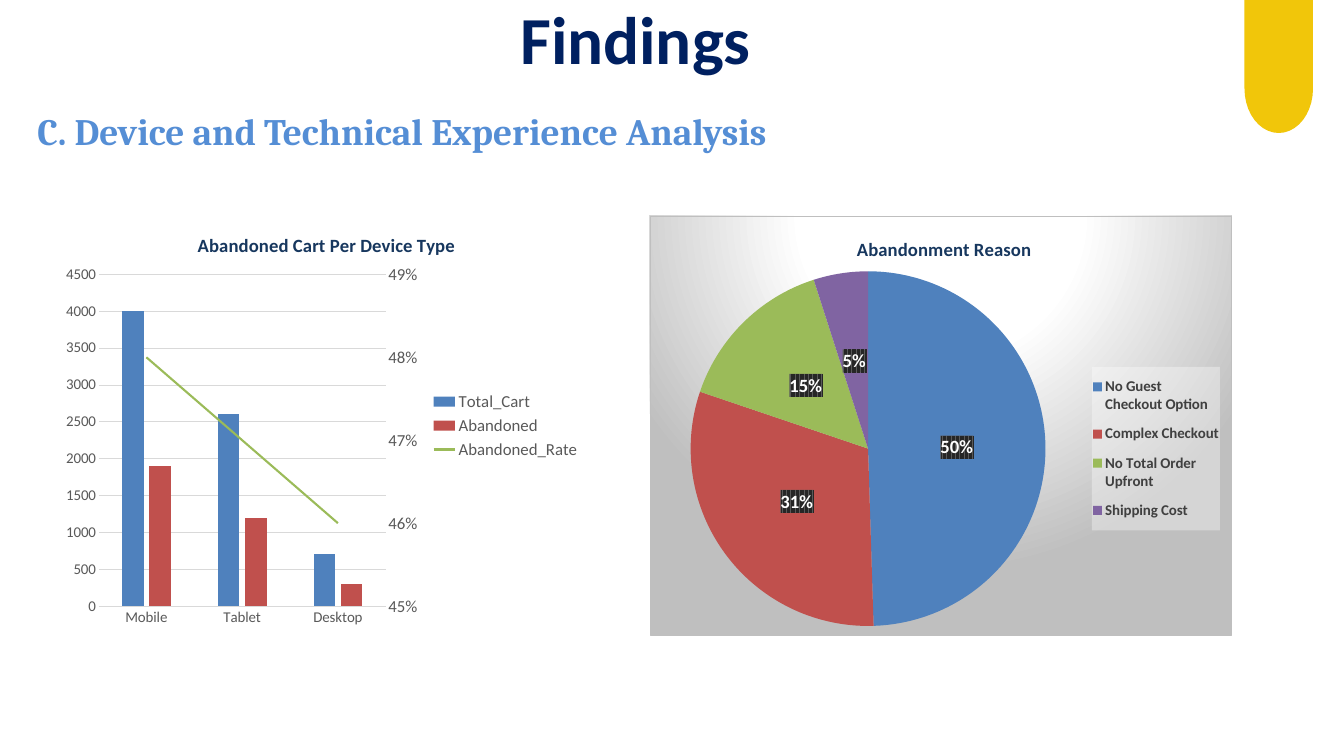
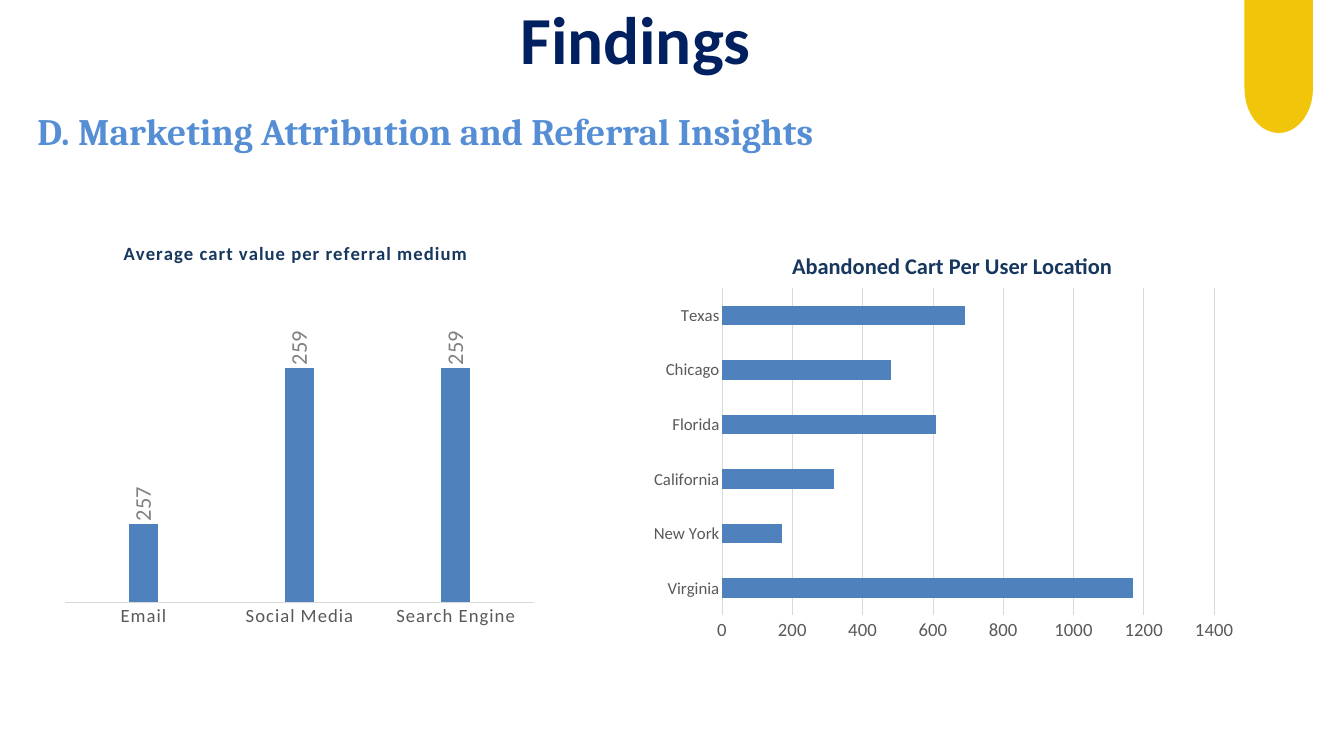
"""Build two findings slides on abandoned carts, each with a pair of charts."""
import math
from dataclasses import dataclass
from typing import Optional

from pptx import Presentation, oxml
from pptx.chart import data
from pptx.dml.color import RGBColor
from pptx.enum import chart as kinds, text
from pptx.oxml import ns
from pptx.util import Pt


@dataclass(frozen=True)
class Theme:
    """Colours, fonts and type sizes."""
    heading: str = "002060"
    section: str = "558ED5"
    tab: str = "F1C60A"
    chart_title: str = "17375E"
    axis_text: str = "595959"
    rule: str = "D9D9D9"
    value_label: str = "808080"
    legend_dark: str = "404040"
    white: str = "FFFFFF"
    panel: str = "BFBFBF"
    label_dark: str = "262626"
    series: tuple = ("4F81BD", "C0504D", "9BBB59", "8064A2")
    body_font: str = "Calibri"
    section_font: str = "Cambria"
    heading_size: int = 72
    section_size: int = 40
    chart_base: int = 10
    tiny: int = 16
    small: int = 18
    medium: int = 20
    large: int = 24


THEME = Theme()


@dataclass(frozen=True)
class Scale:
    """Limits and step of a value axis."""
    low: float
    high: float
    step: float


@dataclass(frozen=True)
class ChartSpec:
    """One chart: place in points, inner layouts as fractions, and values."""
    kind: kinds.XL_CHART_TYPE
    box: tuple
    title: str
    title_at: tuple
    plot_at: tuple
    categories: tuple
    series: dict
    title_size: int = THEME.medium
    category_size: int = THEME.tiny
    value_size: int = THEME.tiny
    scale: Optional[Scale] = None
    gap: int = 150
    overlap: int = 0


DEVICES = ChartSpec(
    kinds.XL_CHART_TYPE.COLUMN_CLUSTERED, (60, 231, 570, 450),
    "Abandoned Cart Per Device Type", (0.26, 0.03), (0.08, 0.14, 0.54, 0.79),
    ("Mobile", "Tablet", "Desktop"),
    {"Total_Cart": (4000, 2600, 700), "Abandoned": (1900, 1200, 300),
     "Abandoned_Rate": (0.48, 0.47, 0.46)},
    scale=Scale(0, 4500, 500), gap=219, overlap=-27)
REASONS = ChartSpec(
    kinds.XL_CHART_TYPE.PIE, (696, 231, 624, 450),
    "Abandonment Reason", (0.35, 0.04), (0.07, 0.13, 0.61, 0.85),
    ("No Guest Checkout Option", "Complex Checkout", "No Total Order Upfront", "Shipping Cost"),
    {"Series 1": (50, 31, 15, 5)})
REFERRALS = ChartSpec(
    kinds.XL_CHART_TYPE.COLUMN_CLUSTERED, (54, 231, 534, 450),
    "Average cart value per referral medium", (0.14, 0.05), (0.03, 0.27, 0.94, 0.65),
    ("Email", "Social Media", "Search Engine"), {"Series 1": (257, 259, 259)},
    category_size=THEME.medium, scale=Scale(256, 259.5, 1), gap=444, overlap=-90)
LOCATIONS = ChartSpec(
    kinds.XL_CHART_TYPE.BAR_CLUSTERED, (690, 251, 643, 444),
    "Abandoned Cart Per User Location", (0.24, 0.03), (0.13, 0.13, 0.82, 0.79),
    ("Virginia", "New York", "California", "Florida", "Chicago", "Texas"),
    {"Series 1": (1170, 170, 320, 610, 480, 690)},
    title_size=THEME.large, category_size=THEME.small, value_size=THEME.medium,
    scale=Scale(0, 1400, 200), gap=182)


def colour(code: str) -> RGBColor:
    """Turn a hex code into a colour."""
    return RGBColor.from_string(code)


def style_font(font, size: float, code: str, bold: bool = False,
               name: str = THEME.body_font) -> None:
    """Set size, colour, weight and face of a font."""
    font.size, font.bold, font.name = Pt(size), bold, name
    font.color.rgb = colour(code)


def element(markup: str):
    """Parse chart markup whose root lacks namespace declarations."""
    end = min(markup.index(mark) for mark in (">", " ", "/") if mark in markup)
    return oxml.parse_xml(f"{markup[:end]} {ns.nsdecls('c', 'a')}{markup[end:]}")


def set_layout(parent, index: int, place: tuple, inner: bool = False) -> None:
    """Place a chart part by fractions of the chart area."""
    for old in parent.findall(ns.qn("c:layout")):
        parent.remove(old)
    target = '<c:layoutTarget val="inner"/>' if inner else ""
    modes = "".join(f'<c:{axis}Mode val="edge"/>' for axis in "xy")
    sizes = "".join(f'<c:{key} val="{value}"/>' for key, value in zip("xywh", place))
    parent.insert(index, element(
        f"<c:layout><c:manualLayout>{target}{modes}{sizes}</c:manualLayout></c:layout>"))


def style_axes(chart, spec: ChartSpec) -> None:
    """Format the category and value axes."""
    for axis, size in ((chart.category_axis, spec.category_size),
                       (chart.value_axis, spec.value_size)):
        style_font(axis.tick_labels.font, size, THEME.axis_text)
        axis.major_tick_mark = axis.minor_tick_mark = kinds.XL_TICK_MARK.NONE
    value_axis = chart.value_axis
    value_axis.minimum_scale, value_axis.maximum_scale = spec.scale.low, spec.scale.high
    value_axis.major_unit = spec.scale.step
    value_axis.format.line.fill.background()
    value_axis.has_major_gridlines = True
    for line in (chart.category_axis.format.line, value_axis.major_gridlines.format.line):
        line.color.rgb = colour(THEME.rule)
        line.width = Pt(0.75)


def add_chart(slide, spec: ChartSpec):
    """Add a chart with its title, layout, axes and series colours."""
    values = data.CategoryChartData()
    values.categories = spec.categories
    for name, numbers in spec.series.items():
        rate = any(isinstance(number, float) for number in numbers)
        values.add_series(name, numbers, "0%" if rate else "General")
    chart = slide.shapes.add_chart(spec.kind, *map(Pt, spec.box), values).chart
    style_font(chart.font, THEME.chart_base, "000000")
    chart.has_legend = False
    chart.has_title = True
    run = chart.chart_title.text_frame.paragraphs[0].add_run()
    run.text = spec.title
    style_font(run.font, spec.title_size, THEME.chart_title, True)
    set_layout(chart.element.xpath("c:chart/c:title")[0], 1, spec.title_at)
    set_layout(chart.element.xpath("c:chart/c:plotArea")[0], 0, spec.plot_at, True)
    plot = chart.plots[0]
    plot.vary_by_categories = spec.kind == kinds.XL_CHART_TYPE.PIE
    if plot.vary_by_categories:
        parts = [plot.series[0].points[index] for index in range(len(spec.categories))]
    else:
        parts = plot.series
        plot.gap_width, plot.overlap = spec.gap, spec.overlap
        style_axes(chart, spec)
    for part, code in zip(parts, THEME.series):
        part.format.fill.solid()
        part.format.fill.fore_color.rgb = colour(code)
    return chart


def add_legend(chart, size: int, code: str, place: tuple, bold: bool = False):
    """Add a legend on the right and return its element."""
    chart.has_legend = True
    chart.legend.position = kinds.XL_LEGEND_POSITION.RIGHT
    chart.legend.include_in_layout = False
    style_font(chart.legend.font, size, code, bold)
    legend = chart.element.xpath("c:chart/c:legend")[0]
    set_layout(legend, 1, place)
    return legend


def move_rate_to_line(chart) -> None:
    """Draw the last column series as a line on a right percent axis."""
    columns = chart.element.xpath(".//c:barChart")[0]
    rate = columns.findall(ns.qn("c:ser"))[-1]
    for tag in ("c:invertIfNegative", "c:spPr"):
        for child in rate.findall(ns.qn(tag)):
            rate.remove(child)
    line_chart = element(
        '<c:lineChart><c:grouping val="standard"/><c:varyColors val="0"/>'
        '<c:marker val="1"/><c:axId val="501"/><c:axId val="502"/></c:lineChart>')
    line_chart.insert(2, rate)
    columns.addnext(line_chart)
    axes = (
        '<c:catAx><c:axId val="501"/><c:scaling><c:orientation val="minMax"/></c:scaling>'
        '<c:delete val="1"/><c:axPos val="b"/><c:crossAx val="502"/></c:catAx>',
        '<c:valAx><c:axId val="502"/><c:scaling><c:orientation val="minMax"/>'
        '<c:max val="0.49"/><c:min val="0.45"/></c:scaling><c:delete val="0"/>'
        '<c:axPos val="r"/><c:numFmt formatCode="0%" sourceLinked="0"/>'
        '<c:majorTickMark val="none"/><c:minorTickMark val="none"/>'
        '<c:tickLblPos val="nextTo"/><c:spPr><a:ln><a:noFill/></a:ln></c:spPr>'
        f'<c:txPr><a:bodyPr/><a:p><a:pPr><a:defRPr sz="{THEME.small * 100}"><a:solidFill>'
        f'<a:srgbClr val="{THEME.axis_text}"/></a:solidFill>'
        f'<a:latin typeface="{THEME.body_font}"/></a:defRPr></a:pPr></a:p></c:txPr>'
        '<c:crossAx val="501"/><c:crosses val="max"/><c:majorUnit val="0.01"/></c:valAx>')
    last_axis = chart.element.xpath(".//c:valAx")[-1]
    for markup in reversed(axes):
        last_axis.addnext(element(markup))
    series = chart.plots[1].series[0]
    series.smooth = False
    series.marker.style = kinds.XL_MARKER_STYLE.NONE
    series.format.line.color.rgb = colour(THEME.series[2])
    series.format.line.width = Pt(2.25)


def add_labels(holder, size: int, code: str, position, bold: bool = False):
    """Switch on data labels and return their object."""
    labels = holder.data_labels
    style_font(labels.font, size, code, bold)
    labels.position = position
    return labels


def draw_devices(slide) -> None:
    """Draw carts per device with the abandonment rate."""
    chart = add_chart(slide, DEVICES)
    move_rate_to_line(chart)
    add_legend(chart, THEME.small, THEME.axis_text, (0.7, 0.41, 0.29, 0.18))


def draw_reasons(slide) -> None:
    """Draw the pie of abandonment reasons on a shaded panel."""
    chart = add_chart(slide, REASONS)
    labels = add_labels(chart.plots[0].series[0], THEME.medium, THEME.white,
                        kinds.XL_LABEL_POSITION.CENTER, True)
    labels.show_percentage, labels.show_value = True, False
    labels.number_format, labels.number_format_is_linked = "0%", False
    chart.element.xpath(".//c:dLbls/c:txPr")[0].addprevious(element(
        '<c:spPr><a:pattFill prst="narVert">'
        f'<a:fgClr><a:srgbClr val="{THEME.label_dark}"/></a:fgClr>'
        f'<a:bgClr><a:srgbClr val="{THEME.axis_text}"/></a:bgClr></a:pattFill></c:spPr>'))
    legend = add_legend(chart, THEME.tiny, THEME.legend_dark, (0.76, 0.36, 0.22, 0.39), True)
    legend.find(ns.qn("c:overlay")).addnext(element(
        f'<c:spPr><a:solidFill><a:srgbClr val="{THEME.white}"><a:alpha val="35000"/>'
        '</a:srgbClr></a:solidFill></c:spPr>'))
    stops = "".join(
        f'<a:gs pos="{place * 1000}"><a:srgbClr val="{code}"/></a:gs>'
        for place, code in ((0, THEME.white), (39, THEME.white), (100, THEME.panel)))
    chart.element.find(ns.qn("c:chart")).addnext(element(
        f'<c:spPr><a:gradFill><a:gsLst>{stops}</a:gsLst><a:path path="circle">'
        '<a:fillToRect l="50000" t="-80000" r="50000" b="180000"/></a:path></a:gradFill>'
        f'<a:ln w="{Pt(0.75)}"><a:solidFill><a:srgbClr val="{THEME.panel}"/></a:solidFill>'
        '</a:ln></c:spPr>'))


def draw_referrals(slide) -> None:
    """Draw cart value per referral medium with upright labels."""
    chart = add_chart(slide, REFERRALS)
    chart.value_axis.visible = chart.value_axis.has_major_gridlines = False
    labels = add_labels(chart.plots[0].series[0], THEME.large, THEME.value_label,
                        kinds.XL_LABEL_POSITION.OUTSIDE_END)
    labels.show_value = True
    body = chart.element.xpath(".//c:dLbls/c:txPr/a:bodyPr")[0]
    body.set("rot", "-5400000")
    body.set("vert", "horz")
    for properties in chart.element.xpath(".//c:title//a:rPr | .//c:catAx//a:defRPr"):
        properties.set("spc", "100")


def draw_locations(slide) -> None:
    """Draw abandoned carts per user location."""
    add_chart(slide, LOCATIONS)


def add_tab(slide) -> None:
    """Draw the yellow tab with its rounded lower end."""
    left, width, straight, curve, steps = 1333.4, 73.4, 95, 47.5, 20
    radius = width / 2
    angles = [math.pi * step / steps for step in range(steps + 1)]
    points = [(Pt(left + radius + radius * math.cos(angle)),
               Pt(straight + curve * math.sin(angle))) for angle in angles]
    builder = slide.shapes.build_freeform(Pt(left), 0)
    builder.add_line_segments([(Pt(left + width), 0), *points], close=True)
    shape = builder.convert_to_shape()
    shape.shadow.inherit = False
    shape.fill.solid()
    shape.fill.fore_color.rgb = colour(THEME.tab)
    shape.line.fill.background()


def write(shape, box: tuple, words: str, size: int, code: str, name: str):
    """Place a text shape, fill it with one bold run and return its paragraph."""
    shape.left, shape.top, shape.width, shape.height = map(Pt, box)
    frame = shape.text_frame
    frame.word_wrap = True
    frame.auto_size = text.MSO_AUTO_SIZE.SHAPE_TO_FIT_TEXT
    frame.vertical_anchor = text.MSO_ANCHOR.TOP
    paragraph = frame.paragraphs[0]
    run = paragraph.add_run()
    run.text = words
    style_font(run.font, size, code, True, name)
    return paragraph


def add_findings_slide(presentation, section: str, *drawings) -> None:
    """Add a slide with tab, title, section line and charts."""
    slide = presentation.slides.add_slide(presentation.slide_layouts[5])
    add_tab(slide)
    heading = write(slide.shapes.title, (372, -6.5, 618, 94), "Findings",
                    THEME.heading_size, THEME.heading, THEME.body_font)
    heading.alignment = text.PP_ALIGN.CENTER
    box = (33, 88.5, 1166, 71)
    line = write(slide.shapes.add_textbox(*map(Pt, box)), box, section,
                 THEME.section_size, THEME.section, THEME.section_font)
    line.line_spacing = 1.5
    for draw in drawings:
        draw(slide)


def main() -> None:
    """Build and save the presentation."""
    presentation = Presentation()
    presentation.slide_width, presentation.slide_height = Pt(1440), Pt(810)
    add_findings_slide(presentation, "C. Device and Technical Experience Analysis",
                       draw_devices, draw_reasons)
    add_findings_slide(presentation, "D. Marketing Attribution and Referral Insights",
                       draw_referrals, draw_locations)
    presentation.save("out.pptx")


if __name__ == "__main__":
    main()
